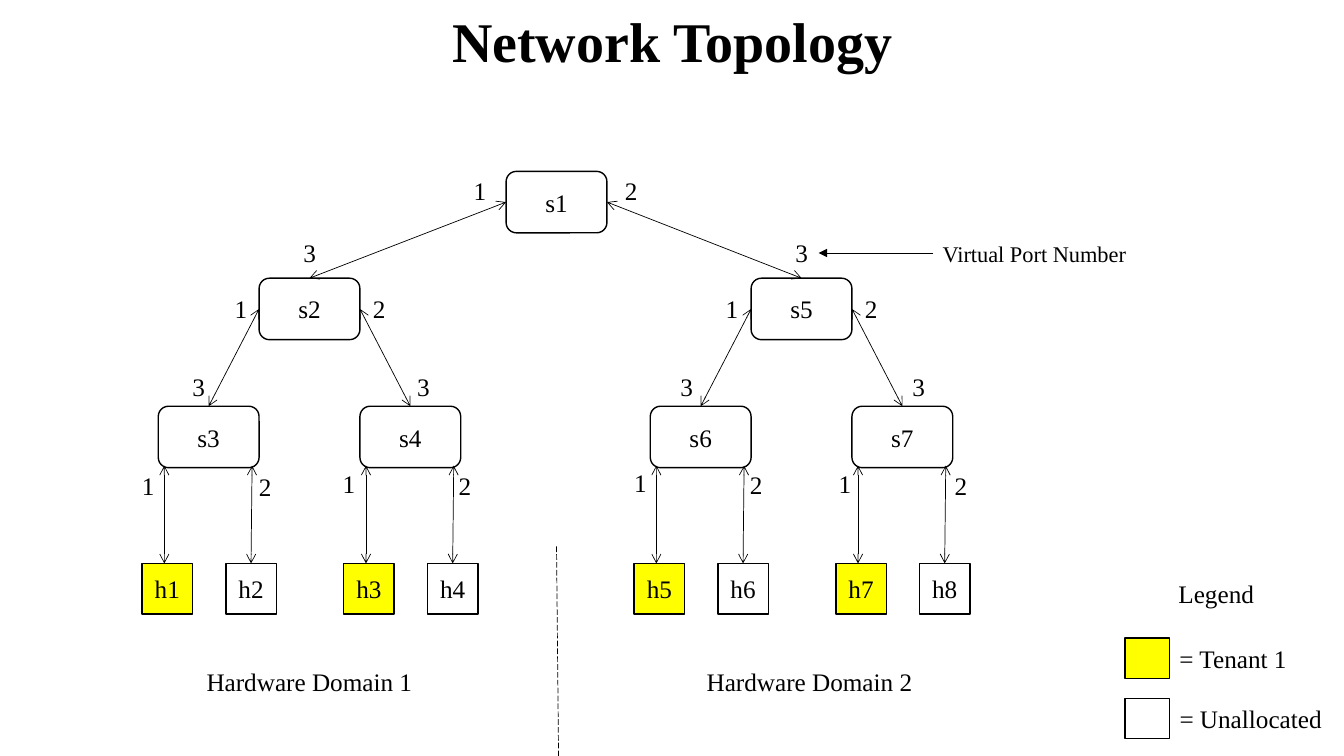
from dataclasses import dataclass

from lxml import etree
from pptx import Presentation
from pptx.dml.color import RGBColor
from pptx.enum.dml import MSO_LINE
from pptx.enum.shapes import MSO_CONNECTOR, MSO_SHAPE
from pptx.enum.text import MSO_ANCHOR, MSO_AUTO_SIZE, PP_ALIGN
from pptx.oxml.ns import qn
from pptx.shapes.autoshape import Shape
from pptx.shapes.connector import Connector
from pptx.slide import Slide
from pptx.util import Inches, Pt

ROUNDED, RECTANGLE = MSO_SHAPE.ROUNDED_RECTANGLE, MSO_SHAPE.RECTANGLE
STRAIGHT = MSO_CONNECTOR.STRAIGHT
LONG_DASH = MSO_LINE.LONG_DASH
MIDDLE = MSO_ANCHOR.MIDDLE
GROW = MSO_AUTO_SIZE.SHAPE_TO_FIT_TEXT
LEFT, CENTER = PP_ALIGN.LEFT, PP_ALIGN.CENTER
TOP_SITE, LEFT_SITE, RIGHT_SITE = 0, 1, 3

FONT = "Times New Roman"
COLORS = {"ink": "000000", "tenant": "FFFF00", "free": "FFFFFF"}
SWITCH_W, SWITCH_H = 1, 0.61
HOST_SIZE, HOST_TOP = 0.5, 5.59
HOST_OFFSETS = (-0.16, 0.67)
LINK_OFFSETS = (0.06, 0.93)
LINK_TOP = 4.62
LABEL_H = 0.4


@dataclass(frozen=True)
class Switch:
    name: str
    left: float
    top: float


@dataclass(frozen=True)
class Uplink:
    child: str
    parent: str
    parent_site: int


@dataclass(frozen=True)
class Label:
    text: str
    left: float
    top: float
    width: float = 0.33
    height: float = LABEL_H
    size: int = 18


@dataclass(frozen=True)
class LegendEntry:
    text: str
    color: str
    top: float
    width: float


SWITCHES = [
    Switch("s1", 5.02, 1.7),
    Switch("s2", 2.57, 2.76), Switch("s5", 7.45, 2.76),
    Switch("s3", 1.57, 4.03), Switch("s4", 3.57, 4.03),
    Switch("s6", 6.45, 4.03), Switch("s7", 8.45, 4.03),
]
EDGE_SWITCHES = SWITCHES[3:]
UPLINKS = [
    Uplink("s2", "s1", LEFT_SITE), Uplink("s5", "s1", RIGHT_SITE),
    Uplink("s3", "s2", LEFT_SITE), Uplink("s4", "s2", RIGHT_SITE),
    Uplink("s6", "s5", LEFT_SITE), Uplink("s7", "s5", RIGHT_SITE),
]
# Places of the port numbers, grouped by number
PORTS = {
    "1": [(4.6, 1.69), (2.23, 2.86), (7.1, 2.86),
          (1.31, 4.62), (3.3, 4.6), (6.19, 4.59), (8.22, 4.6)],
    "2": [(6.1, 1.69), (3.6, 2.86), (8.48, 2.86),
          (2.47, 4.63), (4.45, 4.62), (7.34, 4.61), (9.37, 4.62)],
    "3": [(2.91, 2.31), (7.79, 2.31),
          (1.81, 3.63), (4.04, 3.63), (6.65, 3.63), (8.95, 3.63)],
}
CAPTIONS = [
    Label("Virtual Port Number", 9.25, 2.33, 2.05, 0.37, 16),
    Label("Hardware Domain 1", 1.95, 6.56, 2.25),
    Label("Hardware Domain 2", 6.91, 6.56, 2.25),
    Label("Legend", 11.59, 5.69, 0.96),
]
LEGEND = [
    LegendEntry("= Tenant 1", "tenant", 6.33, 1.27),
    LegendEntry("= Unallocated", "free", 6.93, 1.61),
]


def rgb(color: str) -> RGBColor:
    return RGBColor.from_string(COLORS[color])


def write(shape: Shape, text: str, size: int = 18,
          align: PP_ALIGN = CENTER, bold: bool = False) -> None:
    paragraph = shape.text_frame.paragraphs[0]
    paragraph.alignment = align
    run = paragraph.add_run()
    run.text = text
    run.font.name, run.font.size, run.font.bold = FONT, Pt(size), bold
    run.font.color.rgb = rgb("ink")


def add_box(slide: Slide, kind: MSO_SHAPE, left: float, top: float,
            width: float, height: float, color: str, text: str = "") -> Shape:
    box = slide.shapes.add_shape(
        kind, Inches(left), Inches(top), Inches(width), Inches(height))
    box.shadow.inherit = False
    box.fill.solid()
    box.fill.fore_color.rgb = rgb(color)
    box.line.color.rgb = rgb("ink")
    box.line.width = Pt(1)
    box.text_frame.vertical_anchor = MIDDLE
    if text:
        write(box, text)
    return box


def add_label(slide: Slide, label: Label, align: PP_ALIGN = LEFT,
              bold: bool = False, wrap: bool = False) -> None:
    box = slide.shapes.add_textbox(Inches(label.left), Inches(label.top),
                                   Inches(label.width), Inches(label.height))
    box.text_frame.word_wrap = wrap
    box.text_frame.auto_size = GROW
    write(box, label.text, label.size, align, bold)


def add_line(slide: Slide, start: tuple[float, float], end: tuple[float, float],
             head: str = "", tail: str = "", dashed: bool = False) -> Connector:
    line = slide.shapes.add_connector(
        STRAIGHT, *(Inches(value) for value in (*start, *end)))
    line.line.color.rgb = rgb("ink")
    line.line.width = Pt(0.5)
    if dashed:
        line.line.dash_style = LONG_DASH
    properties = line.line._get_or_add_ln()
    for tag, arrow in (("a:headEnd", head), ("a:tailEnd", tail)):
        if arrow:
            etree.SubElement(properties, qn(tag), type=arrow)
    etree.SubElement(line._element.spPr, qn("a:effectLst"))
    return line


def add_hosts(slide: Slide) -> None:
    for pair, switch in enumerate(EDGE_SWITCHES):
        for side, color in enumerate(("tenant", "free")):
            host = add_box(slide, RECTANGLE, switch.left + HOST_OFFSETS[side],
                           HOST_TOP, HOST_SIZE, HOST_SIZE, color,
                           f"h{2 * pair + side + 1}")
            x = switch.left + LINK_OFFSETS[side]
            link = add_line(slide, (x, HOST_TOP), (x, LINK_TOP), "arrow", "arrow")
            if color == "free":
                link.begin_connect(host, TOP_SITE)


def main() -> None:
    deck = Presentation()
    deck.slide_width, deck.slide_height = Inches(13.33), Inches(7.5)
    slide = deck.slides.add_slide(deck.slide_layouts[6])

    # Title
    add_label(slide, Label("Network Topology", 0, 0.02, 13.33, 0.77, 40),
              CENTER, bold=True, wrap=True)

    # Switch tree
    switches = {
        switch.name: add_box(slide, ROUNDED, switch.left, switch.top,
                             SWITCH_W, SWITCH_H, "free", switch.name)
        for switch in SWITCHES
    }
    for uplink in UPLINKS:
        link = add_line(slide, (0, 0), (1, 1), "arrow", "arrow")
        link.begin_connect(switches[uplink.child], TOP_SITE)
        link.end_connect(switches[uplink.parent], uplink.parent_site)

    # Hosts and their links
    add_hosts(slide)

    # Port numbers and captions
    for number, places in PORTS.items():
        for left, top in places:
            add_label(slide, Label(number, left, top))
    for caption in CAPTIONS:
        add_label(slide, caption)
    add_line(slide, (9.25, 2.51), (8.12, 2.51), tail="triangle")

    # Border between the hardware domains
    add_line(slide, (5.52, 5.42), (5.54, 7.5), dashed=True)

    # Legend
    for entry in LEGEND:
        add_box(slide, RECTANGLE, 11.16, entry.top, 0.44, 0.4, entry.color)
        add_label(slide, Label(entry.text, 11.6, entry.top, entry.width))

    deck.save("out.pptx")


if __name__ == "__main__":
    main()
